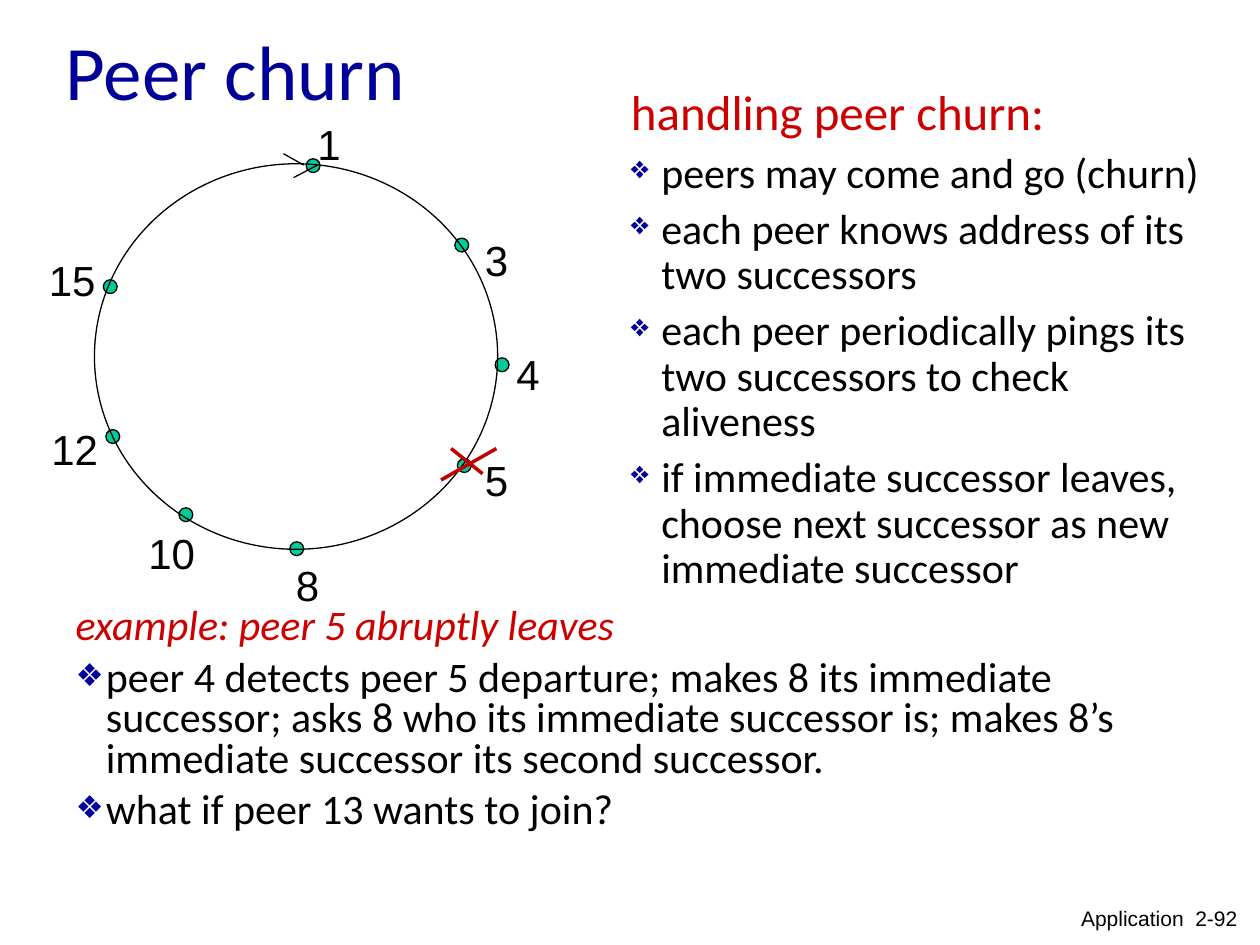
"""Build the slide on peer churn in a circular overlay of peers."""
from dataclasses import dataclass

from lxml import etree
from pptx import Presentation
from pptx.dml.color import RGBColor
from pptx.enum.shapes import MSO_CONNECTOR as Connector, MSO_SHAPE as Shape
from pptx.enum.text import MSO_ANCHOR as Anchor, MSO_AUTO_SIZE as AutoSize, PP_ALIGN as Align
from pptx.oxml.ns import qn
from pptx.util import Inches, Pt


@dataclass(frozen=True)
class Theme:
    blue: RGBColor = RGBColor(0x00, 0x00, 0x99)
    red: RGBColor = RGBColor(0xCC, 0x00, 0x00)
    cross: RGBColor = RGBColor(0xC0, 0x00, 0x00)
    green: RGBColor = RGBColor(0x00, 0xCC, 0x99)
    black: RGBColor = RGBColor(0x00, 0x00, 0x00)
    text_face: str = "Calibri"
    label_face: str = "Arial"
    title_size: float = 44
    heading_size: float = 28
    body_size: float = 24
    footer_size: float = 12


theme = Theme()


def style(para, size, color, face=theme.text_face, italic=False):
    para.font.size = Pt(size)
    para.font.name = face
    para.font.color.rgb = color
    para.font.italic = italic


def write_list(frame, heading, heading_size, italic, items, spacing, gap):
    frame.word_wrap = True
    frame.auto_size = AutoSize.NONE
    frame.vertical_anchor = Anchor.TOP
    for index, text in enumerate([heading, *items]):
        para = frame.add_paragraph() if index else frame.paragraphs[0]
        para.text = text
        para.space_before = Pt(gap if index else 0)
        properties = para._p.get_or_add_pPr()
        if index:
            para.line_spacing = spacing
            properties.set("marL", str(Inches(0.24)))
            properties.set("indent", str(-Inches(0.24)))
            bullet_color = etree.SubElement(properties, qn("a:buClr"))
            etree.SubElement(bullet_color, qn("a:srgbClr"), val=str(theme.blue))
            etree.SubElement(properties, qn("a:buSzPct"), val="75000")
            etree.SubElement(properties, qn("a:buChar"), char="❖")
            style(para, theme.body_size, theme.black)
        else:
            para.line_spacing = spacing if italic else 1.0
            properties.set("marL", "0")
            properties.set("indent", "0")
            etree.SubElement(properties, qn("a:buNone"))
            style(para, heading_size, theme.red, italic=italic)


deck = Presentation()
deck.slide_width, deck.slide_height = Inches(10), Inches(7.5)
page = deck.slides.add_slide(deck.slide_layouts[1])

title = page.shapes.title
title.left, title.top, title.width, title.height = Inches(0.42), Inches(0), Inches(9), Inches(1.11)
title.text_frame.text = "Peer churn"
title.text_frame.vertical_anchor = Anchor.MIDDLE
title_para = title.text_frame.paragraphs[0]
title_para.alignment = Align.LEFT
style(title_para, theme.title_size, theme.blue)

example = page.placeholders[1]
example.left, example.top, example.width, example.height = Inches(0.5), Inches(4.78), Inches(9), Inches(2.33)
write_list(example.text_frame, "example: peer 5 abruptly leaves", theme.body_size, True, [
    "peer 4 detects peer 5 departure; makes 8 its immediate successor; "
    "asks 8 who its immediate successor is; makes 8’s immediate successor its second successor.",
    "what if peer 13 wants to join?",
], 0.8, 6.5)

peers = [
    ("1", 2.43, 1.26, 2.42, 0.89),
    ("3", 3.61, 1.89, 3.75, 1.81),
    ("4", 3.93, 2.84, 4.0, 2.72),
    ("5", 3.63, 3.64, 3.75, 3.56),
    ("8", 2.3, 4.3, 2.25, 4.39),
    ("10", 1.42, 4.03, 1.08, 4.14),
    ("12", 0.84, 3.41, 0.31, 3.31),
    ("15", 0.82, 2.22, 0.29, 1.97),
]
network = page.shapes.add_group_shape().shapes
ovals = [(left, top, 0.11, 0.11) for _, left, top, _, _ in peers] + [(0.75, 1.3, 3.2, 3.06)]
for left, top, width, height in ovals:
    oval = network.add_shape(Shape.OVAL, Inches(left), Inches(top), Inches(width), Inches(height))
    oval.shadow.inherit = False
    oval.line.color.rgb = theme.black
    oval.line.width = Pt(0.75)
    if width < 1:
        oval.fill.solid()
        oval.fill.fore_color.rgb = theme.green
    else:
        oval.fill.background()

for name, _, _, left, top in peers:
    width = 0.38 if len(name) == 1 else 0.57
    label = network.add_textbox(Inches(left), Inches(top), Inches(width), Inches(0.5))
    label.text_frame.word_wrap = False
    label.text_frame.text = name
    style(label.text_frame.paragraphs[0], theme.body_size, theme.black, theme.label_face)

strokes = [
    (2.25, 1.22, 2.41, 1.31, theme.black, 0.75),
    (2.52, 1.31, 2.33, 1.41, theme.black, 0.75),
    (3.58, 3.56, 3.83, 3.76, theme.cross, 2),
    (3.94, 3.56, 3.5, 3.81, theme.cross, 2),
]
for start_x, start_y, end_x, end_y, color, weight in strokes:
    stroke = page.shapes.add_connector(
        Connector.STRAIGHT, Inches(start_x), Inches(start_y), Inches(end_x), Inches(end_y))
    stroke.line.color.rgb = color
    stroke.line.width = Pt(weight)
    etree.SubElement(stroke._element.spPr, qn("a:effectLst"))

handling = page.shapes.add_textbox(Inches(4.91), Inches(0.6), Inches(4.84), Inches(5.72))
write_list(handling.text_frame, "handling peer churn:", theme.heading_size, False, [
    "peers may come and go (churn)",
    "each peer knows address of its two successors",
    "each peer periodically pings its\vtwo successors to check aliveness",
    "if immediate successor leaves, choose next successor as new immediate successor",
], Pt(26), 6)

footer = page.shapes.add_textbox(Inches(8.33), Inches(7.14), Inches(1.59), Inches(0.31))
footer.text_frame.word_wrap = True
footer.text_frame.text = "Application  2-92"
footer_para = footer.text_frame.paragraphs[0]
footer_para.alignment = Align.RIGHT
style(footer_para, theme.footer_size, theme.black, theme.label_face)

deck.save("out.pptx")
